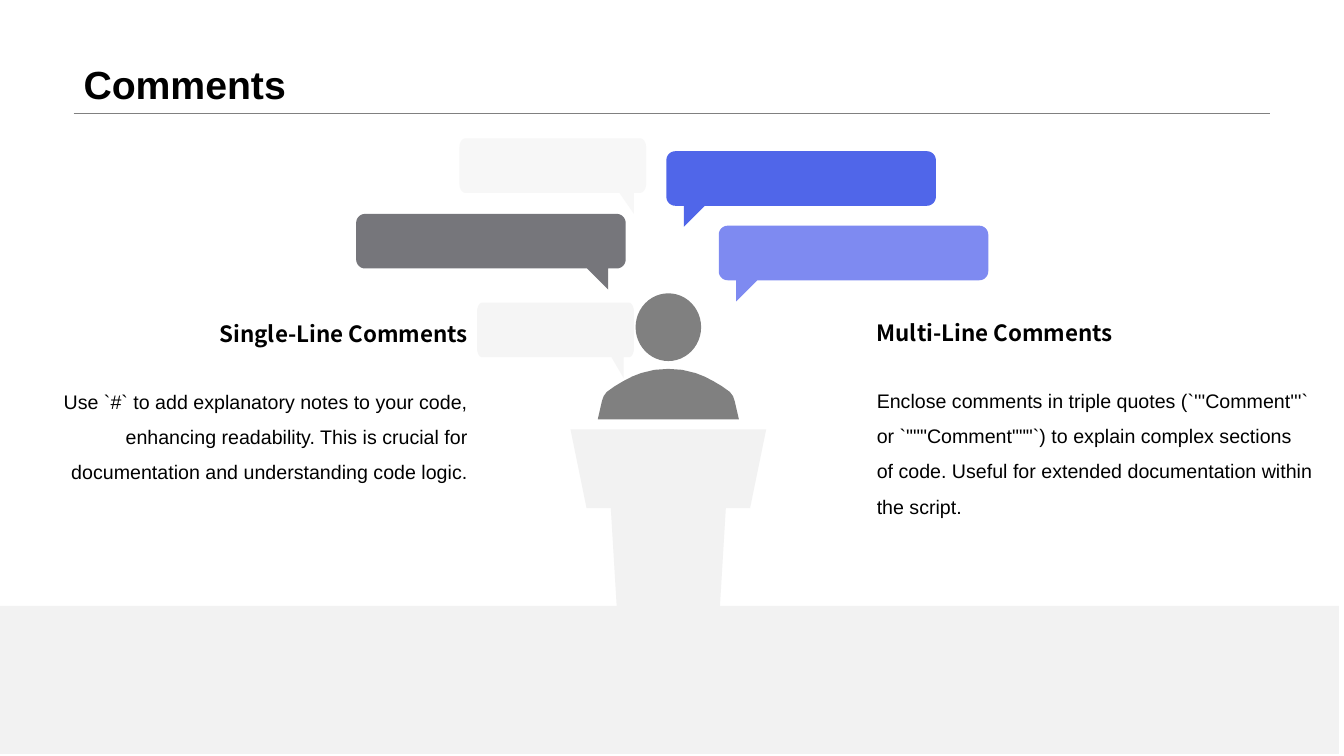
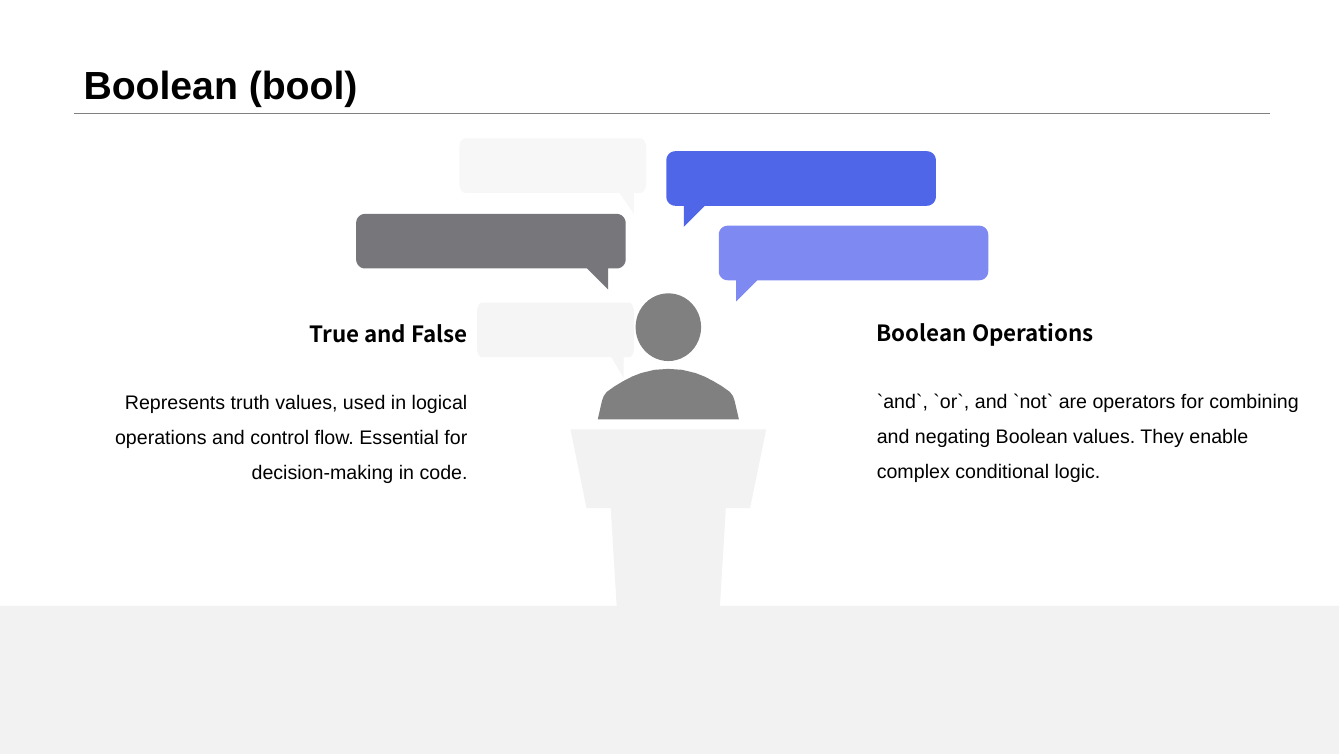
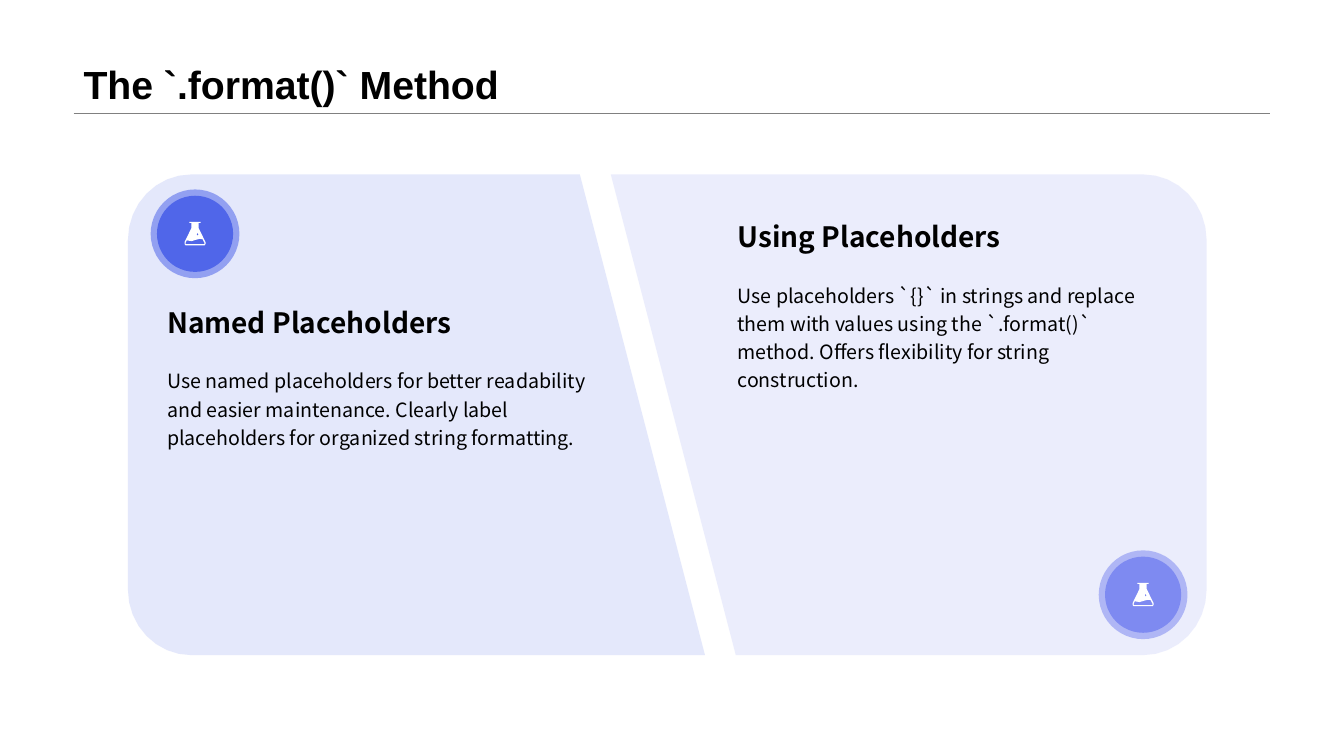
import math
from lxml import etree
from pptx import Presentation
from pptx import util as u
from pptx.dml.color import RGBColor
from pptx.enum import shapes, text
from pptx.oxml.ns import qn

Pt = u.Pt
COLORS = {"black": "000000", "white": "FFFFFF", "gray": "808080", "light": "F2F2F2",
          "slate": "76767B", "blue": "5066E9", "violet": "7E8AF1"}
SANS, CJK = "Arial", "Noto Sans CJK SC"
LEFT, RIGHT = text.PP_ALIGN.LEFT, text.PP_ALIGN.RIGHT
OVAL, RECTANGLE = shapes.MSO_SHAPE.OVAL, shapes.MSO_SHAPE.RECTANGLE


def arc(x, y, radius_x, radius_y, start):
    """Points of a clockwise quarter turn around (x, y), from a start angle in degrees."""
    angles = [math.radians(start + step * 90 / 8) for step in range(9)]
    return [(x + radius_x * math.cos(a), y + radius_y * math.sin(a)) for a in angles]


def paint(shape, color, opacity):
    """Solid fill with an opacity in percent, no line and no shadow."""
    shape.shadow.inherit = False
    shape.line.fill.background()
    shape.fill.solid()
    shape.fill.fore_color.rgb = RGBColor.from_string(COLORS[color])
    if opacity < 100:
        rgb = shape.fill._xPr.find(qn("a:solidFill")).find(qn("a:srgbClr"))
        etree.SubElement(rgb, qn("a:alpha")).set("val", str(opacity * 1000))


# Speaker scene: each part is a geometry (preset tuple or list of contours), color, opacity
SPEAKER_X = 477.4
podium = [(407.5, 306.7), (419, 362.9), (436.3, 362.9), (440.6, 434.2)]
torso = [(427, 299.5), (430, 286.5), (431.2, 283), (433.4, 280), (439, 276), (445, 272.4),
         (451.5, 269), (458, 266.5), (467.5, 264.2), (SPEAKER_X, 263.5)]
speaker_parts = [((RECTANGLE, -3.6, 432.7, 960, 105.8), "light", 100),
                 ((OVAL, 454, 209.5, 46.8, 48.4), "gray", 100)]
for half, color in [(podium, "light"), (torso, "gray")]:
    mirrored = [(2 * SPEAKER_X - x, y) for x, y in reversed(half)]
    speaker_parts.append(([half + mirrored], color, 100))

# Speech bubbles: narrow ones are squeezed sideways, right-hand ones are mirrored
BUBBLE_WIDTH, BUBBLE_HEIGHT, TAIL, CORNER = 192.5, 39, 15, 6.4
for left, top, width, tail_left, color, opacity in [
        (254.4, 152.8, BUBBLE_WIDTH, False, "slate", 100),
        (476, 108, BUBBLE_WIDTH, True, "blue", 100),
        (513.4, 161.2, BUBBLE_WIDTH, True, "violet", 100),
        (340.8, 216.2, 112, False, "light", 75),
        (328.2, 98.8, 133.3, False, "light", 61)]:
    squeeze = width / BUBBLE_WIDTH
    radius = CORNER * squeeze
    right, bottom = left + width, top + BUBBLE_HEIGHT
    tip = right - 12.5 * squeeze
    bubble = (arc(left + radius, top + CORNER, radius, CORNER, 180)
              + arc(right - radius, top + CORNER, radius, CORNER, 270)
              + arc(right - radius, bottom - CORNER, radius, CORNER, 0)
              + [(tip, bottom), (tip, bottom + TAIL), (tip - TAIL * squeeze, bottom)]
              + arc(left + radius, bottom - CORNER, radius, CORNER, 90))
    if tail_left:
        bubble = [(left + right - x, y) for x, y in bubble]
    speaker_parts.append(([bubble], color, opacity))

# Split panel: two slanted halves with rounded outer corners
TOP, BOTTOM, RADIUS_X, RADIUS_Y = 124.6, 468, 45.3, 46.8
inner_left, inner_right = 91.4 + RADIUS_X, 861.9 - RADIUS_X
left_panel = ([(414.2, TOP), (503.6, BOTTOM)]
              + arc(inner_left, BOTTOM - RADIUS_Y, RADIUS_X, RADIUS_Y, 90)
              + arc(inner_left, TOP + RADIUS_Y, RADIUS_X, RADIUS_Y, 180))
right_panel = ([(525.6, BOTTOM), (436.3, TOP)]
               + arc(inner_right, TOP + RADIUS_Y, RADIUS_X, RADIUS_Y, 270)
               + arc(inner_right, BOTTOM - RADIUS_Y, RADIUS_X, RADIUS_Y, 0))
panel_parts = [([left_panel], "blue", 15), ([right_panel], "violet", 15)]

# Flask badges: glass outline, liquid and bubble, measured from the badge center
flask = [
    [(-4, -8.4), (4, -8.4), (4, -7.7), (2.6, -7.7), (2.6, -4), (7.5, 6), (7.5, 7.4), (6.8, 8.2),
     (-6.8, 8.2), (-7.5, 7.4), (-7.5, 6), (-2.6, -4), (-2.6, -7.7), (-4, -7.7)],
    [(0.4, 4.4), (-2.5, 5.3), (-5.9, 4.7), (-6.8, 6.6), (-6.6, 7.4), (6.6, 7.4), (6.8, 6.6),
     (5.3, 3.8), (3, 3.7)],
    [(1.8, -0.6), (2.5, 0.4), (1.8, 1.4), (1.1, 0.4)],
]
for x, y, color in [(139.3, 167, "blue"), (816.5, 424.8, "violet")]:
    for diameter, opacity in [(63.4, 55), (54.4, 100)]:
        circle = (OVAL, x - diameter / 2, y - diameter / 2, diameter, diameter)
        panel_parts.append((circle, color, opacity))
    icon = [[(x + dx, y + dy) for dx, dy in contour] for contour in flask]
    panel_parts.append((icon, "white", 100))

# Text styles: font, size, bold, line spacing
TITLE = (SANS, 28, True, 0.9)
SPEAKER_HEADING, SPEAKER_BODY = (CJK, 16, True, None), (SANS, 14, False, 1.5)
PANEL_HEADING, PANEL_BODY = (CJK, 20, True, None), (CJK, 14, False, 1.2)

# Column places: left, heading top, body top, width, alignment
speaker_columns = [(15.1, 225.4, 266.4, 326.2, RIGHT), (619.2, 224.6, 265.7, 326.2, LEFT)]
panel_columns = [(112.3, 214.6, 257, 313.9, LEFT), (519.8, 153.4, 195.8, 313.9, LEFT)]
speaker_layout = (speaker_parts, speaker_columns, SPEAKER_HEADING, SPEAKER_BODY)
panel_layout = (panel_parts, panel_columns, PANEL_HEADING, PANEL_BODY)

contents = [
    ("Comments", speaker_layout, [
        ("Single-Line Comments",
         "Use `#` to add explanatory notes to your code, enhancing readability. "
         "This is crucial for documentation and understanding code logic."),
        ("Multi-Line Comments",
         "Enclose comments in triple quotes (`'''Comment'''` or `\"\"\"Comment\"\"\"`) to explain "
         "complex sections of code. Useful for extended documentation within the script.")]),
    ("Boolean (bool)", speaker_layout, [
        ("True and False",
         "Represents truth values, used in logical operations and control flow. "
         "Essential for decision-making in code."),
        ("Boolean Operations",
         "`and`, `or`, and `not` are operators for combining and negating Boolean values. "
         "They enable complex conditional logic.")]),
    ("The `.format()` Method", panel_layout, [
        ("Named Placeholders",
         "Use named placeholders for better readability and easier maintenance. "
         "Clearly label placeholders for organized string formatting."),
        ("Using Placeholders",
         "Use placeholders `{}` in strings and replace them with values using the `.format()` "
         "method. Offers flexibility for string construction.")]),
]

presentation = Presentation()
presentation.slide_width, presentation.slide_height = Pt(960), Pt(540)

for title, (parts, columns, heading_style, body_style), passages in contents:
    slide = presentation.slides.add_slide(presentation.slide_layouts[6])

    # Rule under the title
    rule = slide.shapes.add_connector(shapes.MSO_CONNECTOR.STRAIGHT,
                                      Pt(52.6), Pt(80.8), Pt(907.2), Pt(80.8))
    rule.line.color.rgb = RGBColor.from_string(COLORS["gray"])
    rule.line.width = Pt(0.25)
    etree.SubElement(rule._element.spPr, qn("a:effectLst"))

    # Drawing
    for geometry, color, opacity in parts:
        if isinstance(geometry, tuple):
            preset, *box = geometry
            shape = slide.shapes.add_shape(preset, *map(Pt, box))
        else:
            contours = [[(Pt(x), Pt(y)) for x, y in contour] for contour in geometry]
            builder = slide.shapes.build_freeform(*contours[0][0])
            builder.add_line_segments(contours[0][1:], close=True)
            for contour in contours[1:]:
                builder.move_to(*contour[0])
                builder.add_line_segments(contour[1:], close=True)
            shape = builder.convert_to_shape()
        paint(shape, color, opacity)

    # Title, headings and passages
    blocks = [(title, TITLE, (52.6, 0, 854.6, 80.6), LEFT)]
    for (heading, body), (left, heading_top, body_top, width, align) in zip(passages, columns):
        blocks.append((heading, heading_style, (left, heading_top, width, 26.6), align))
        blocks.append((body, body_style, (left, body_top, width, 80), align))
    for words, style, box, align in blocks:
        font, size, bold, spacing = style
        frame = slide.shapes.add_textbox(*map(Pt, box)).text_frame
        frame.word_wrap = True
        if style is TITLE:
            frame.vertical_anchor = text.MSO_ANCHOR.BOTTOM
        else:
            frame.auto_size = text.MSO_AUTO_SIZE.SHAPE_TO_FIT_TEXT
        paragraph = frame.paragraphs[0]
        paragraph.alignment = align
        paragraph.line_spacing = spacing
        run = paragraph.add_run()
        run.text = words
        run.font.name, run.font.size, run.font.bold = font, Pt(size), bold
        run.font.color.rgb = RGBColor.from_string(COLORS["black"])

presentation.save("out.pptx")
